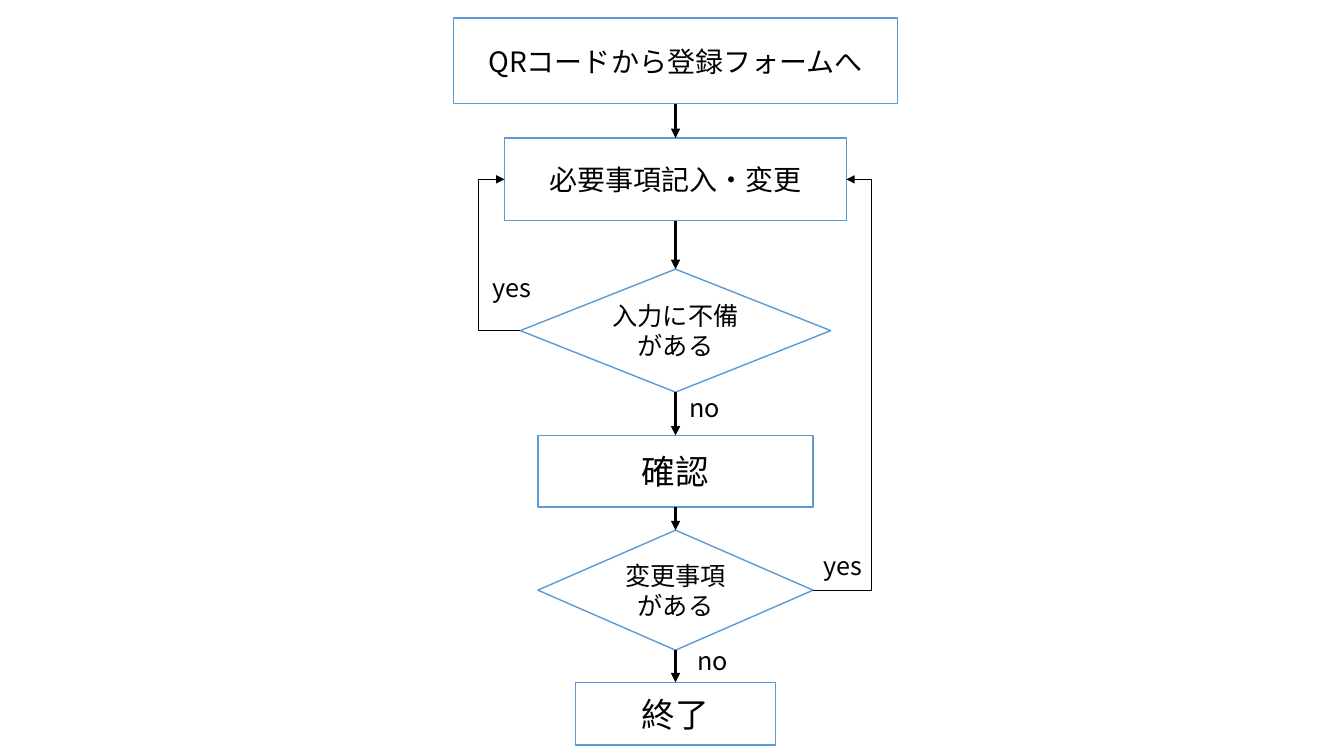
from lxml import etree
from pptx import Presentation, util as u
from pptx.dml.color import RGBColor
from pptx.enum import shapes, text
from pptx.oxml import ns

BLACK = RGBColor(0x00, 0x00, 0x00)
WHITE = RGBColor(0xFF, 0xFF, 0xFF)
BLUE = RGBColor(0x5B, 0x9B, 0xD5)
FONT = "Noto Sans CJK JP"
CENTER = 6.7


def write(frame, words, size):
    run = frame.paragraphs[0].add_run()
    run.text = words
    run.font.size = u.Pt(size)
    run.font.name = FONT
    run.font.color.rgb = BLACK
    etree.SubElement(run.font._element, ns.qn("a:ea"), typeface=FONT)


def connect(kind, start, start_side, end, end_side, weight):
    flow = slide.shapes.add_connector(kind, 0, 0, 0, 0)
    flow.begin_connect(start, start_side)
    flow.end_connect(end, end_side)
    flow.line.color.rgb = BLACK
    flow.line.width = u.Pt(weight)
    etree.SubElement(flow.line._get_or_add_ln(), ns.qn("a:tailEnd"), type="triangle")
    etree.SubElement(flow._element.spPr, ns.qn("a:effectLst"))
    return flow


prs = Presentation()
prs.slide_width = u.Inches(13.33)
prs.slide_height = u.Inches(7.5)
slide = prs.slides.add_slide(prs.slide_layouts[6])

BOX = shapes.MSO_SHAPE.RECTANGLE
DECISION = shapes.MSO_SHAPE.FLOWCHART_DECISION
steps = []
for kind, words, top, width, height, size in [
    (BOX, "QRコードから登録フォームへ", 0.18, 4.4, 0.85, 20),
    (BOX, "必要事項記入・変更", 1.37, 3.39, 0.82, 20),
    (DECISION, "入力に不備がある", 2.67, 3.08, 1.22, 18),
    (BOX, "確認", 4.32, 2.73, 0.71, 24),
    (DECISION, "変更事項がある", 5.26, 2.73, 1.19, 18),
    (BOX, "終了", 6.77, 1.98, 0.62, 24),
]:
    step = slide.shapes.add_shape(
        kind, u.Inches(CENTER - width / 2), u.Inches(top), u.Inches(width), u.Inches(height))
    step.shadow.inherit = False
    if kind == DECISION:
        step.fill.solid()
        step.fill.fore_color.rgb = WHITE
    else:
        step.fill.background()
    step.line.color.rgb = BLUE
    step.line.width = u.Pt(1)
    step.text_frame.word_wrap = True
    step.text_frame.vertical_anchor = text.MSO_ANCHOR.MIDDLE
    step.text_frame.paragraphs[0].alignment = text.PP_ALIGN.CENTER
    write(step.text_frame, words, size)
    steps.append(step)

for upper, lower in zip(steps, steps[1:]):
    connect(shapes.MSO_CONNECTOR.STRAIGHT, upper, 2, lower, 0, 2.25)

entry, incomplete, changes = steps[1], steps[2], steps[4]
for decision, side, lane in [(incomplete, 1, 4.75), (changes, 3, 8.64)]:
    loop = connect(shapes.MSO_CONNECTOR.ELBOW, decision, side, entry, side, 0.5)
    bend = (u.Inches(lane) - loop.begin_x) / (loop.end_x - loop.begin_x)
    guides = loop._element.spPr.find(ns.qn("a:prstGeom")).get_or_add_avLst()
    etree.SubElement(guides, ns.qn("a:gd"), name="adj1", fmla=f"val {round(bend * 100000)}")

for answer, left, top in [
    ("yes", 4.79, 2.65),
    ("no", 6.74, 3.84),
    ("yes", 8.07, 5.41),
    ("no", 6.82, 6.35),
]:
    label = slide.shapes.add_textbox(u.Inches(left), u.Inches(top), u.Inches(0.59), u.Inches(0.4))
    label.text_frame.word_wrap = answer == "no"
    label.text_frame.auto_size = text.MSO_AUTO_SIZE.SHAPE_TO_FIT_TEXT
    write(label.text_frame, answer, 18)

prs.save("out.pptx")
